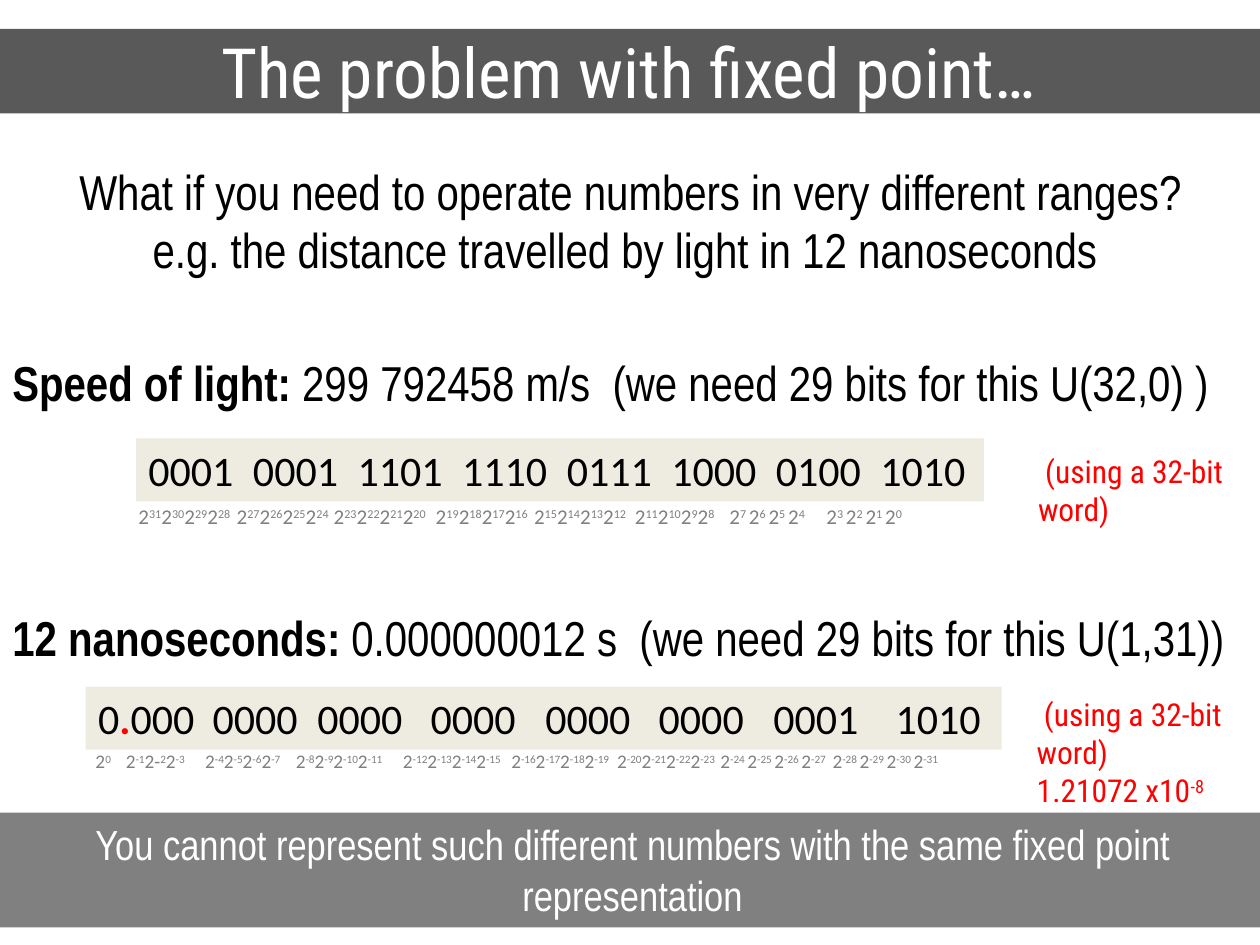
from pptx import Presentation
from pptx.dml.color import RGBColor
from pptx.enum.shapes import MSO_SHAPE
from pptx.enum.text import MSO_ANCHOR, PP_ALIGN
from pptx.oxml.ns import qn
from pptx.util import Inches, Pt
from lxml import etree

RECT = MSO_SHAPE.RECTANGLE
MIDDLE, TOP = MSO_ANCHOR.MIDDLE, MSO_ANCHOR.TOP
LEFT, CENTER = PP_ALIGN.LEFT, PP_ALIGN.CENTER

BLACK = RGBColor(0x00, 0x00, 0x00)
WHITE = RGBColor(0xFF, 0xFF, 0xFF)
RED = RGBColor(0xFF, 0x00, 0x00)
GRAY = RGBColor(0x80, 0x80, 0x80)
DARK = RGBColor(0x59, 0x59, 0x59)
CREAM = RGBColor(0xEE, 0xEC, 0xE1)

NARROW, ROBOTO, CALIBRI = "Arial Narrow", "Roboto Condensed", "Calibri"


class Deck:
    def __init__(self):
        self.prs = Presentation()
        self.prs.slide_width = Inches(10)
        self.prs.slide_height = Inches(7.5)
        self.slide = self.prs.slides.add_slide(self.prs.slide_layouts[6])

    def run(self, para, text, size, font, color, bold=False, high=False):
        run = para.add_run()
        run.text = text
        run.font.size = Pt(size)
        run.font.name = font
        run.font.bold = bold
        run.font.color.rgb = color
        if high:
            run._r.get_or_add_rPr().set("baseline", "30000")

    def tabs(self, para, stops):
        items = etree.SubElement(para._p.get_or_add_pPr(), qn("a:tabLst"))
        for stop in stops:
            etree.SubElement(items, qn("a:tab"), pos=str(Inches(stop)), algn="l")

    def fill(self, shape, lines, size, font, color, align=LEFT, stops=()):
        """Each line is a list of (text, options) runs."""
        frame = shape.text_frame
        frame.word_wrap = True
        for i, line in enumerate(lines):
            para = frame.paragraphs[0] if i == 0 else frame.add_paragraph()
            para.alignment = align
            if stops:
                self.tabs(para, stops)
            for text, opts in line:
                self.run(para, text, size, font, **{"color": color, **opts})

    def text(self, box, lines, size, font, color, **opts):
        shape = self.slide.shapes.add_textbox(*map(Inches, box))
        self.fill(shape, lines, size, font, color, **opts)

    def bar(self, box, back, lines, size, font, color, anchor=MIDDLE, **opts):
        shape = self.slide.shapes.add_shape(RECT, *map(Inches, box))
        shape.shadow.inherit = False
        shape.fill.solid()
        shape.fill.fore_color.rgb = back
        shape.line.fill.background()
        shape.text_frame.vertical_anchor = anchor
        self.fill(shape, lines, size, font, color, **opts)

    def powers(self, box, groups, size, stops):
        """Powers of two, one tab stop per group; the last two are spaced."""
        line = []
        for i, group in enumerate(groups):
            gap = " " if i >= len(groups) - 2 else ""
            for j, (base, power) in enumerate(group):
                lead = "\t" if i and j == 0 else ""
                tail = gap if j < len(group) - 1 else ""
                line += [(lead + base, {}), (power + tail, {"high": True})]
        self.text(box, [line], size, CALIBRI, GRAY, stops=stops)


def fours(first, last):
    """Powers counted down from first to last, in groups of four."""
    return [[("2", str(n - k)) for k in range(4)]
            for n in range(first, last, -4)]


def main():
    deck = Deck()
    bold, red = {"bold": True}, {"color": RED}
    note = [(" (using a 32-bit word)", {})]

    # Title and question
    deck.bar((-0.02, 0.23, 10.02, 0.67), DARK,
             [[("The problem with fixed point…", {})]],
             39.6, ROBOTO, WHITE, align=CENTER)
    deck.text((0, 1.23, 10, 1.04),
              [[("What if you need to operate numbers in very different ranges?", {})],
               [("e.g. the distance travelled by light in 12 nanoseconds ", {})]],
              28, NARROW, BLACK, align=CENTER)

    # Speed of light
    deck.text((0, 2.75, 10, 0.57),
              [[("Speed of light: ", bold),
                ("299 792458 m/s  (we need 29 bits for this U(32,0) )", {})]],
              28, NARROW, BLACK)
    bits = "0001 0001 1101 1110 0111 1000 0100 1010".replace(" ", "\t")
    deck.bar((1.08, 3.48, 6.73, 0.5), CREAM, [[(bits, {})]], 24, CALIBRI, BLACK,
             stops=[0.83 * k for k in range(1, 8)])
    deck.text((8.14, 3.54, 1.9, 0.71), [note], 18, ROBOTO, RED)
    deck.powers((1, 3.95, 7.22, 0.3), fours(31, 0), 12,
                (0.78, 1.55, 2.36, 3.14, 3.94, 4.69, 5.46))

    # Twelve nanoseconds
    deck.text((0, 4.77, 9.92, 0.57),
              [[("12 nanoseconds: ", bold),
                ("0.000000012 s  (we need 29 bits for this U(1,31))", {})]],
              28, NARROW, BLACK)
    bits = "000 0000 0000 0000 0000 0000 0001 1010".replace(" ", "\t")
    deck.bar((0.68, 5.45, 7.27, 0.5), CREAM,
             [[("0", {}), (".", {**bold, **red}), (bits, {})]], 24, CALIBRI, BLACK,
             stops=(0.91, 1.74, 2.64, 3.55, 4.45, 5.36, 6.33))
    deck.text((8.13, 5.47, 1.9, 1.01),
              [note, [("1.21072 x10", {}), ("-8", {"high": True})]],
              18, ROBOTO, RED)
    start = [[("2", "0")], [("2", "-1"), ("2-", "2"), ("2", "-3")]]
    deck.powers((0.66, 5.9, 7.73, 0.29), start + fours(-4, -31), 11,
                (0.24, 0.87, 1.59, 2.44, 3.3, 4.14, 4.96, 5.85))

    # Conclusion
    deck.bar((0, 6.45, 10.04, 0.91), GRAY,
             [[("You cannot represent such different numbers with the same "
                "fixed point representation", {})]],
             24, NARROW, WHITE, anchor=TOP, align=CENTER)

    deck.prs.save("out.pptx")


if __name__ == "__main__":
    main()
